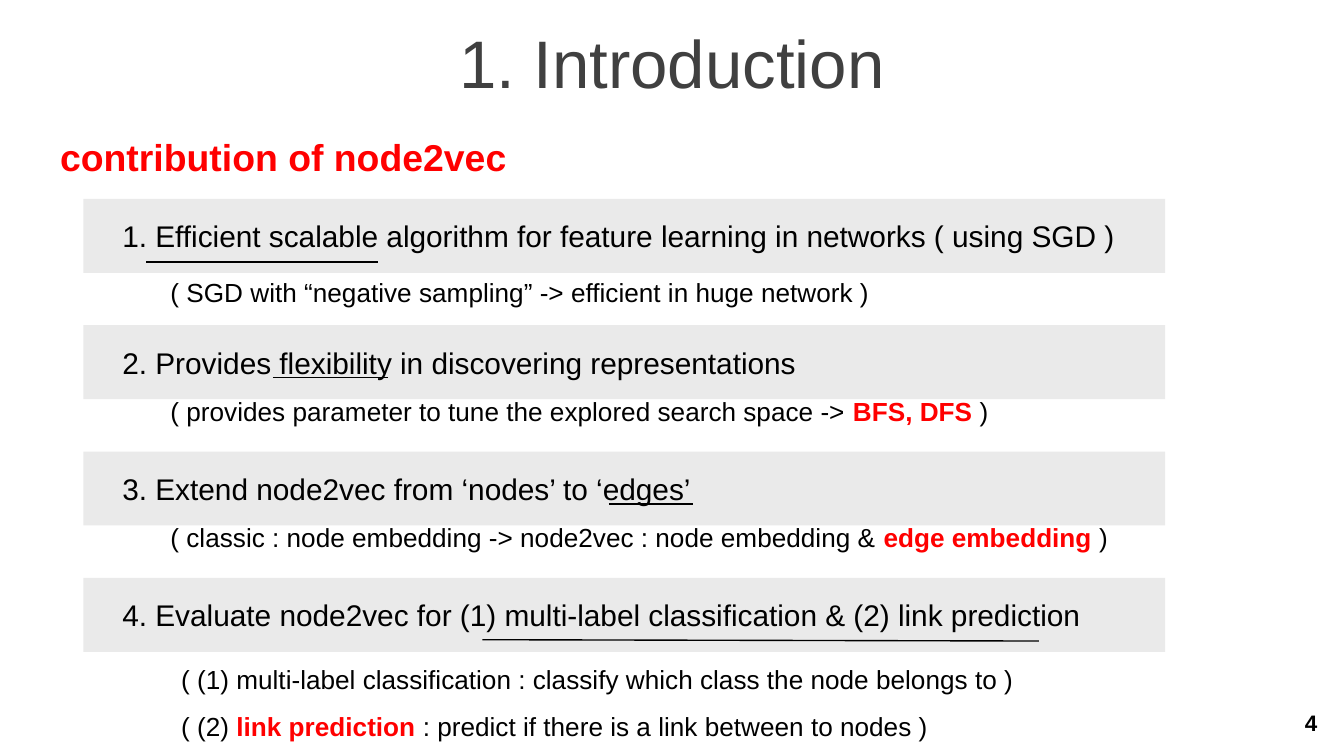
from dataclasses import dataclass
from typing import NamedTuple

from lxml.etree import SubElement
from pptx import Presentation
from pptx.dml.color import RGBColor as RGB
from pptx.enum.shapes import MSO_CONNECTOR as CONN, MSO_SHAPE as SHAPE
from pptx.enum.text import MSO_ANCHOR as ANCHOR, MSO_AUTO_SIZE as AUTO, PP_ALIGN as ALIGN
from pptx.oxml.ns import qn
from pptx.util import Inches, Pt


@dataclass(frozen=True)
class Theme:
    font: str = "Arial"
    title: RGB = RGB(0x40, 0x40, 0x40)
    accent: RGB = RGB(0xFF, 0, 0)
    ink: RGB = RGB(0, 0, 0)
    band: RGB = RGB(0xEA, 0xEA, 0xEA)
    title_pt: int = 36
    heading_pt: int = 20
    point_pt: int = 16
    note_pt: int = 14
    number_pt: int = 12
    rule_pt: float = 0.75


class Box(NamedTuple):
    left: float
    top: float
    width: float
    height: float


class Span(NamedTuple):
    text: str
    strong: bool = False


class Point(NamedTuple):
    text: str
    underline: tuple[float, float, float, float]  # x1, y1, x2, y2
    note_box: Box
    notes: list[list[Span]]
    spacing: float = 1.0


T = Theme()
SLIDE_WIDTH = 10
SLIDE_HEIGHT = SLIDE_WIDTH * 9 / 16
BAND = Box(0.62, 1.48, 8.05, 0.55)
BAND_STEP = 0.94
BAND_INSET = 0.29
NOTE_LEFT, NOTE_WIDTH, NOTE_HEIGHT = 1.17, 7.66, 0.34

POINTS = [
    Point("1. Efficient scalable algorithm for feature learning in networks ( using SGD )",
          (1.09, 1.95, 2.81, 1.95), Box(NOTE_LEFT, 2.01, NOTE_WIDTH, NOTE_HEIGHT),
          [[Span("( SGD with “negative sampling” -> efficient in huge network )")]]),
    Point("2. Provides flexibility in discovering representations",
          (2.03, 2.81, 2.89, 2.81), Box(NOTE_LEFT, 2.89, NOTE_WIDTH, NOTE_HEIGHT),
          [[Span("( provides parameter to tune the explored search space -> "),
            Span("BFS, DFS", True), Span(" )")]]),
    Point("3. Extend node2vec from ‘nodes’ to ‘edges’",
          (4.53, 3.75, 5.16, 3.75), Box(NOTE_LEFT, 3.83, NOTE_WIDTH, NOTE_HEIGHT),
          [[Span("( classic : node embedding -> node2vec : node embedding & "),
            Span("edge embedding", True), Span(" )")]]),
    Point("4. Evaluate node2vec for (1) multi-label classification & (2) link prediction",
          (3.59, 4.76, 7.73, 4.77), Box(1.25, 4.77, NOTE_WIDTH, 0.76),
          [[Span("( (1) multi-label classification : classify which class the node belongs to )")],
           [Span("( (2) "), Span("link prediction ", True),
            Span(": predict if there is a link between to nodes )")]], 1.5),
]


def inches(values: tuple) -> list:
    return [Inches(v) for v in values]


def write(tf, lines: list[list[Span]], size: float, color: RGB = T.ink, bold: bool = False,
          align=ALIGN.LEFT, anchor=ANCHOR.TOP, spacing: float = 1.0) -> None:
    """Fill a text frame with one paragraph of broken lines; strong spans are bold and accented."""
    frame = {"word_wrap": True, "auto_size": AUTO.NONE, "vertical_anchor": anchor}
    for name, value in frame.items():
        setattr(tf, name, value)
    p = tf.paragraphs[0]
    p.alignment, p.line_spacing = align, spacing
    for i, line in enumerate(lines):
        if i:
            SubElement(p._p.add_br(), qn("a:rPr"), sz=str(size * 100))
        for span in line:
            r = p.add_run()
            r.text = span.text
            style = {"name": T.font, "size": Pt(size), "bold": bold or span.strong}
            for name, value in style.items():
                setattr(r.font, name, value)
            r.font.color.rgb = T.accent if span.strong else color


def add_title(slide, text: str) -> None:
    sp = slide.shapes.title
    sp.left, sp.top, sp.width, sp.height = inches((0, 0.14, SLIDE_WIDTH, 0.63))
    write(sp.text_frame, [[Span(text)]], T.title_pt, T.title,
          align=ALIGN.CENTER, anchor=ANCHOR.MIDDLE)


def add_text(slide, box: Box, lines: list[list[Span]], size: float, **style) -> None:
    write(slide.shapes.add_textbox(*inches(box)).text_frame, lines, size, **style)


def add_band(slide, box: Box, text: str) -> None:
    sp = slide.shapes.add_shape(SHAPE.RECTANGLE, *inches(box))
    sp.shadow.inherit = False
    sp.fill.solid()
    sp.fill.fore_color.rgb = T.band
    sp.line.fill.background()
    sp.text_frame.margin_left = Inches(BAND_INSET)
    write(sp.text_frame, [[Span(text)]], T.point_pt, anchor=ANCHOR.MIDDLE)


def add_rule(slide, ends: tuple[float, float, float, float]) -> None:
    ln = slide.shapes.add_connector(CONN.STRAIGHT, *inches(ends))
    ln.line.color.rgb = T.ink
    ln.line.width = Pt(T.rule_pt)
    SubElement(ln._element.spPr, qn("a:effectLst"))


def main() -> None:
    prs = Presentation()
    prs.slide_width, prs.slide_height = inches((SLIDE_WIDTH, SLIDE_HEIGHT))
    s = prs.slides.add_slide(prs.slide_layouts[5])

    add_title(s, "1. Introduction")
    add_text(s, Box(0.08, 1.01, 4.06, 0.31), [[Span("contribution of node2vec")]],
             T.heading_pt, color=T.accent, bold=True,
             align=ALIGN.CENTER, anchor=ANCHOR.MIDDLE)
    for i, point in enumerate(POINTS):
        add_band(s, BAND._replace(top=BAND.top + i * BAND_STEP), point.text)
    for point in POINTS:
        add_rule(s, point.underline)
        add_text(s, point.note_box, point.notes, T.note_pt, spacing=point.spacing)
    add_text(s, Box(9.61, 5.23, 0.39, 0.3), [[Span("4")]], T.number_pt, bold=True)

    prs.save("out.pptx")


if __name__ == "__main__":
    main()
